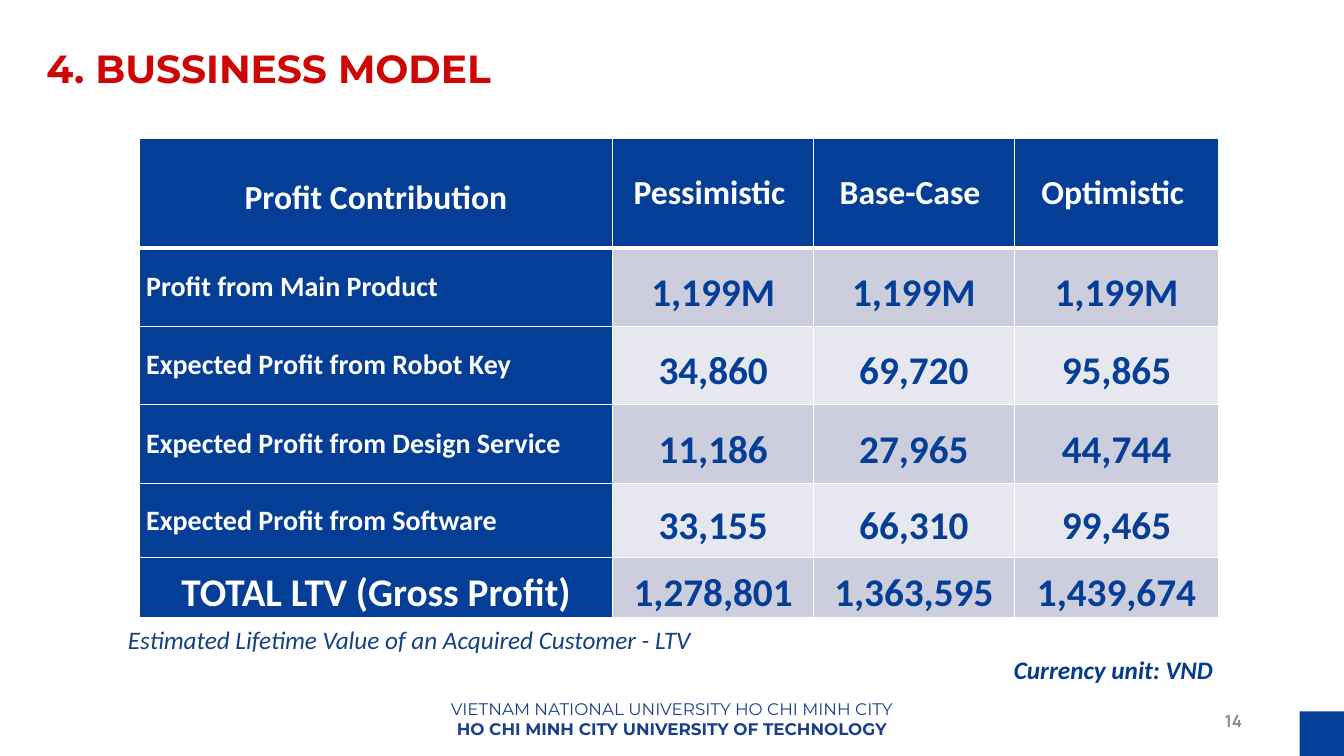
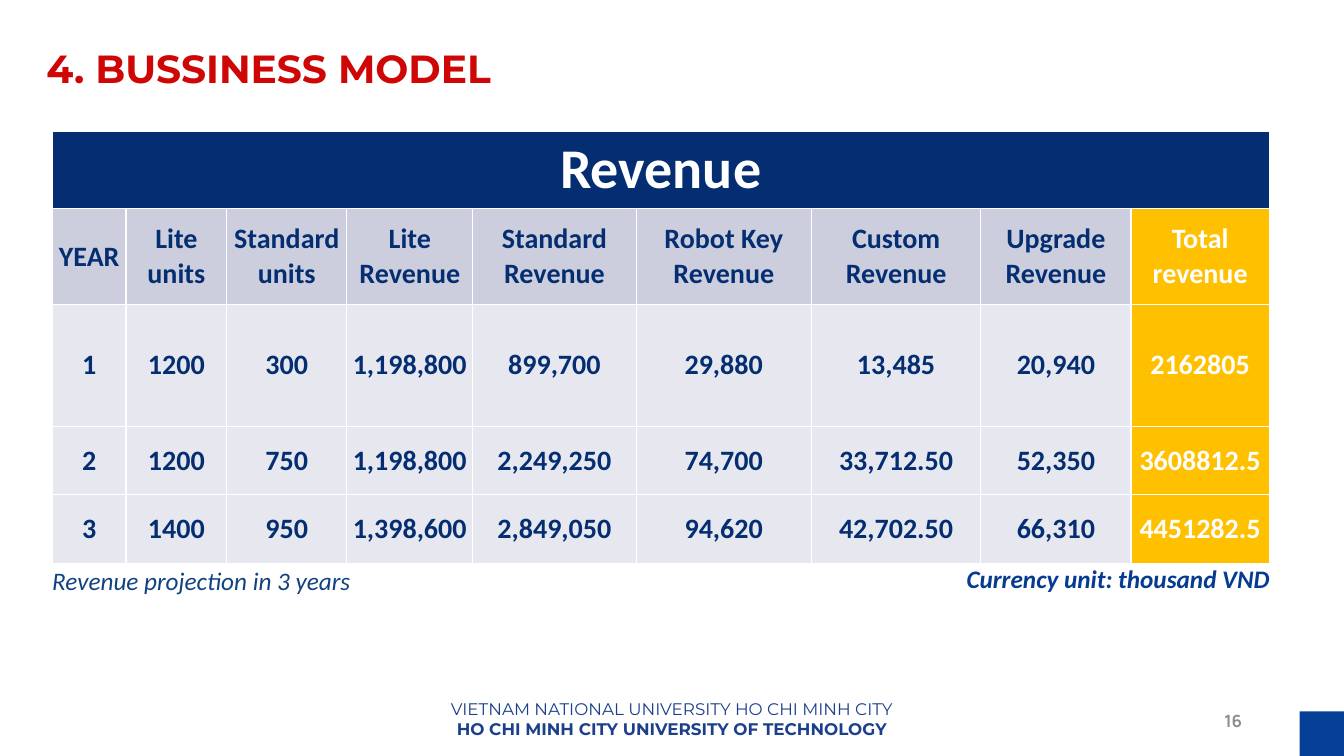
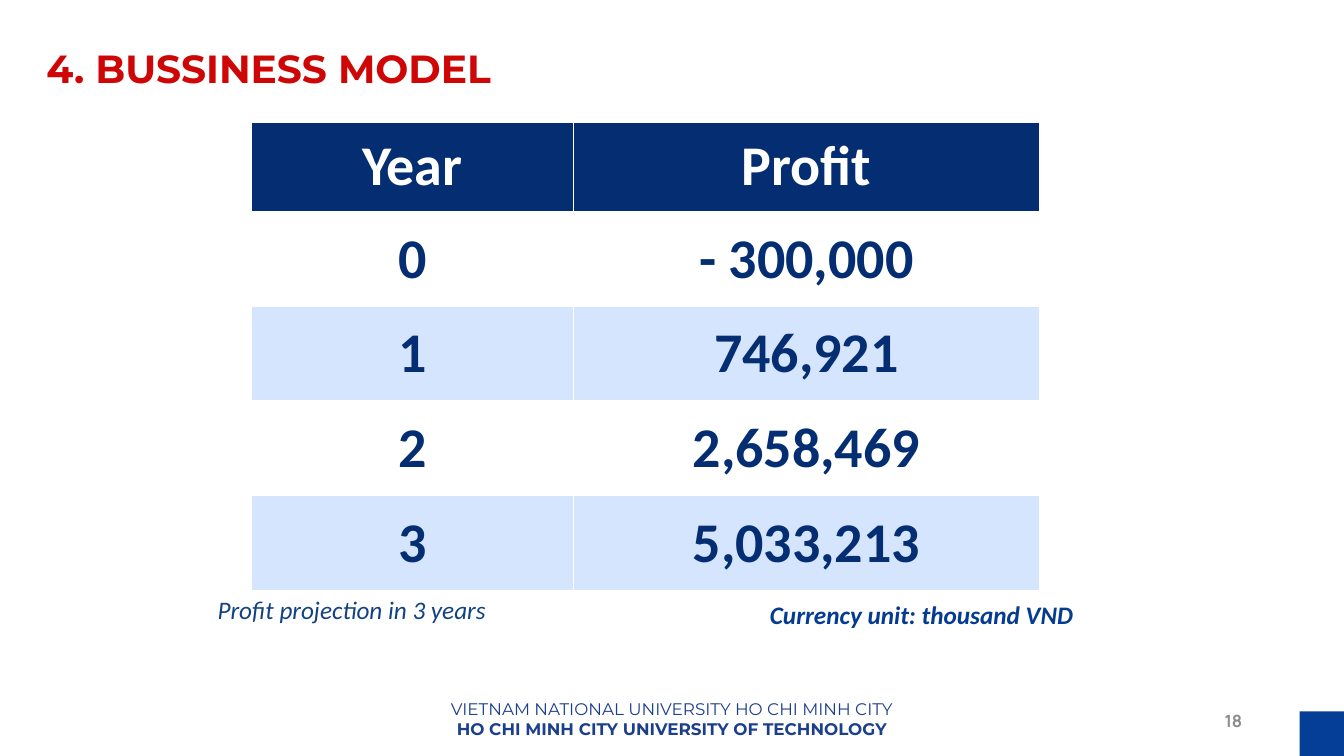
"""Build three business model slides with profit and revenue tables."""
from lxml.etree import SubElement
from pptx import Presentation
from pptx.dml.color import RGBColor
from pptx.enum.shapes import MSO_SHAPE
from pptx.enum.text import MSO_ANCHOR, MSO_AUTO_SIZE, PP_ALIGN
from pptx.oxml.ns import qn
from pptx.util import Inches, Pt

BLUE, NAVY, WHITE, RED = "053E97", "042E71", "FFFFFF", "CE0606"
LILAC, MIST, SKY, GOLD = "CCCEDD", "E7E8EF", "D6E5FE", "FFC000"
FOOTER_BLUE, CAPTION_BLUE, CURRENCY_BLUE, GREY = "1C3F8C", "134282", "053B90", "8C8C8C"
LEFT, CENTER, RIGHT = PP_ALIGN.LEFT, PP_ALIGN.CENTER, PP_ALIGN.RIGHT

presentation = Presentation()
presentation.slide_width, presentation.slide_height = Inches(13.33), Inches(7.5)
COLUMN = presentation.slide_width / 100
ROW = presentation.slide_height / 100


def color(value):
    return RGBColor.from_string(value)


def write(frame, text, size=18, font="Calibri", ink=NAVY, bold=True, italic=False,
          align=LEFT, spacing=None, anchor=MSO_ANCHOR.TOP):
    frame.word_wrap = True
    frame.vertical_anchor = anchor
    paragraph = frame.add_paragraph() if frame.text else frame.paragraphs[0]
    paragraph.alignment = align
    paragraph.line_spacing = spacing
    run = paragraph.add_run()
    run.text = text
    run.font.size, run.font.name = Pt(size), font
    run.font.bold, run.font.italic = bold, italic
    run.font.color.rgb = color(ink)


label = {0: dict(fill=BLUE, size=20, ink=WHITE, align=LEFT, spacing=1)}
total_label = {0: dict(fill=BLUE, ink=WHITE)}
total_column = {8: dict(fill=GOLD, ink=WHITE)}

pages = [
    dict(
        number="14", corner=(10.35, 18.27), widths=[35.25, 14.93, 14.93, 15.23],
        margin=0.07, ink=BLUE, spacing=1.25, header_rule=3,
        rows=[
            (14.53, BLUE, 24, ["Profit Contribution", "Pessimistic ", "Base-Case ", "Optimistic "],
             {column: dict(spacing=1) for column in (1, 2, 3)}),
            (10.4, LILAC, 28, ["Profit from Main Product", "1,199M", "1,199M", "1,199M"], label),
            (10.27, MIST, 28, ["Expected Profit from Robot Key", "34,860", "69,720", "95,865"], label),
            (10.53, LILAC, 28, ["Expected Profit from Design Service", "11,186", "27,965", "44,744"], label),
            (9.73, MIST, 28, ["Expected Profit from Software", "33,155", "66,310", "99,465"], label),
            (8, LILAC, 28, ["TOTAL LTV (Gross Profit)", "1,278,801", "1,363,595", "1,439,674"], total_label),
        ],
        caption=(8.78, 81.87, "Estimated Lifetime Value of an Acquired Customer - LTV"),
        currency=(74.7, 85.87, "Currency unit: VND"),
    ),
    dict(
        number="16", corner=(3.9, 17.33),
        widths=[5.48, 7.5, 8.93, 9.38, 12.15, 13.05, 12.6, 11.18, 10.28],
        margin=0.01, ink=NAVY, spacing=1, header_rule=1,
        rows=[
            (10.27, NAVY, 40, ["Revenue"], {}),
            (12.67, LILAC, 20, ["YEAR", "Lite units", "Standard units", "Lite Revenue", "Standard Revenue",
                                "Robot Key Revenue", "Custom Revenue", "Upgrade Revenue", "Total revenue"],
             total_column),
            (16.13, MIST, 20, ["1", "1200", "300", "1,198,800", "899,700", "29,880", "13,485", "20,940",
                               "2162805"], total_column),
            (9.07, MIST, 20, ["2", "1200", "750", "1,198,800", "2,249,250", "74,700", "33,712.50", "52,350",
                              "3608812.5"], total_column),
            (9.07, MIST, 20, ["3", "1400", "950", "1,398,600", "2,849,050", "94,620", "42,702.50", "66,310",
                              "4451282.5"], total_column),
        ],
        caption=(3.15, 74.13, "Revenue projection in 3 years"),
        currency=(71.18, 73.87, "Currency unit: thousand VND"),
    ),
    dict(
        number="18", corner=(18.68, 16.13), widths=[24, 34.65],
        margin=0.01, ink=NAVY, spacing=1, header_rule=1,
        rows=[
            (11.87, NAVY, 40, ["Year", "Profit"], {}),
            (12.53, WHITE, 40, ["0", "- 300,000"], {}),
            (12.53, SKY, 40, ["1", "746,921"], {}),
            (12.53, WHITE, 40, ["2", "2,658,469"], {}),
            (12.53, SKY, 40, ["3", "5,033,213"], {}),
        ],
        caption=(15.45, 78, "Profit projection in 3 years"),
        currency=(56.55, 78.67, "Currency unit: thousand VND"),
    ),
]

for page in pages:
    slide = presentation.slides.add_slide(presentation.slide_layouts[5])
    title = slide.shapes.title
    title.left, title.top = int(2.7 * COLUMN), int(5.2 * ROW)
    title.width, title.height = int(68.55 * COLUMN), int(7.6 * ROW)
    title.text_frame.auto_size = MSO_AUTO_SIZE.NONE
    write(title.text_frame, "4. BUSSINESS MODEL", size=28, font="Montserrat", ink=RED)

    caption_left, caption_top, caption = page["caption"]
    currency_left, currency_top, currency = page["currency"]
    footer = dict(size=12, font="Montserrat", ink=FOOTER_BLUE, align=CENTER)
    text_boxes = [
        (0, 91.73, 100, 6.27, [
            ("VIETNAM NATIONAL UNIVERSITY HO CHI MINH CITY", dict(footer, bold=False)),
            ("HO CHI MINH CITY UNIVERSITY OF TECHNOLOGY", footer)]),
        (89.33, 92.67, 3.83, 5.33, [
            (page["number"], dict(size=12, font="Manrope", ink=GREY, align=RIGHT, anchor=MSO_ANCHOR.MIDDLE))]),
        (caption_left, caption_top, currency_left - caption_left, 5.33, [
            (caption, dict(ink=CAPTION_BLUE, bold=False, italic=True))]),
        (currency_left, currency_top, 24.75, 5.33, [
            (currency, dict(ink=CURRENCY_BLUE, italic=True))]),
    ]
    for left, top, width, height, lines in text_boxes:
        text_box = slide.shapes.add_textbox(
            int(left * COLUMN), int(top * ROW), int(width * COLUMN), int(height * ROW))
        for text, text_format in lines:
            write(text_box.text_frame, text, **text_format)

    corner_square = slide.shapes.add_shape(
        MSO_SHAPE.RECTANGLE, int(96.7 * COLUMN), int(94.1 * ROW), int(3.3 * COLUMN), int(5.9 * ROW))
    corner_square.shadow.inherit = False
    corner_square.fill.solid()
    corner_square.fill.fore_color.rgb = color(BLUE)
    corner_square.line.fill.background()

    left, top = page["corner"]
    widths, rows = page["widths"], page["rows"]
    table = slide.shapes.add_table(
        len(rows), len(widths), int(left * COLUMN), int(top * ROW),
        int(sum(widths) * COLUMN), int(sum(row[0] for row in rows) * ROW)).table
    for column, width in zip(table.columns, widths):
        column.width = int(width * COLUMN)
    for row_index, (height, row_fill, size, texts, overrides) in enumerate(rows):
        table.rows[row_index].height = int(height * ROW)
        if len(texts) == 1:
            table.cell(row_index, 0).merge(table.cell(row_index, len(widths) - 1))
        for column_index, text in enumerate(texts):
            cell = table.cell(row_index, column_index)
            cell.margin_left = cell.margin_right = Inches(page["margin"])
            cell.margin_top = cell.margin_bottom = 0
            cell.vertical_anchor = MSO_ANCHOR.MIDDLE
            for edge in "LRTB":
                under_header = (row_index, edge) in ((0, "B"), (1, "T"))
                weight = page["header_rule"] if under_header else 1
                border = SubElement(cell._tc.get_or_add_tcPr(), qn(f"a:ln{edge}"), w=str(Pt(weight)))
                SubElement(SubElement(border, qn("a:solidFill")), qn("a:srgbClr"), val=WHITE)
            text_format = dict(
                fill=row_fill, size=size, align=CENTER, spacing=page["spacing"],
                ink=WHITE if row_fill in (BLUE, NAVY) else page["ink"], anchor=MSO_ANCHOR.MIDDLE)
            text_format.update(overrides.get(column_index, {}))
            cell.fill.solid()
            cell.fill.fore_color.rgb = color(text_format.pop("fill"))
            text_format.pop("anchor")
            write(cell.text_frame, text, **text_format)
            cell.vertical_anchor = MSO_ANCHOR.MIDDLE

presentation.save("out.pptx")
